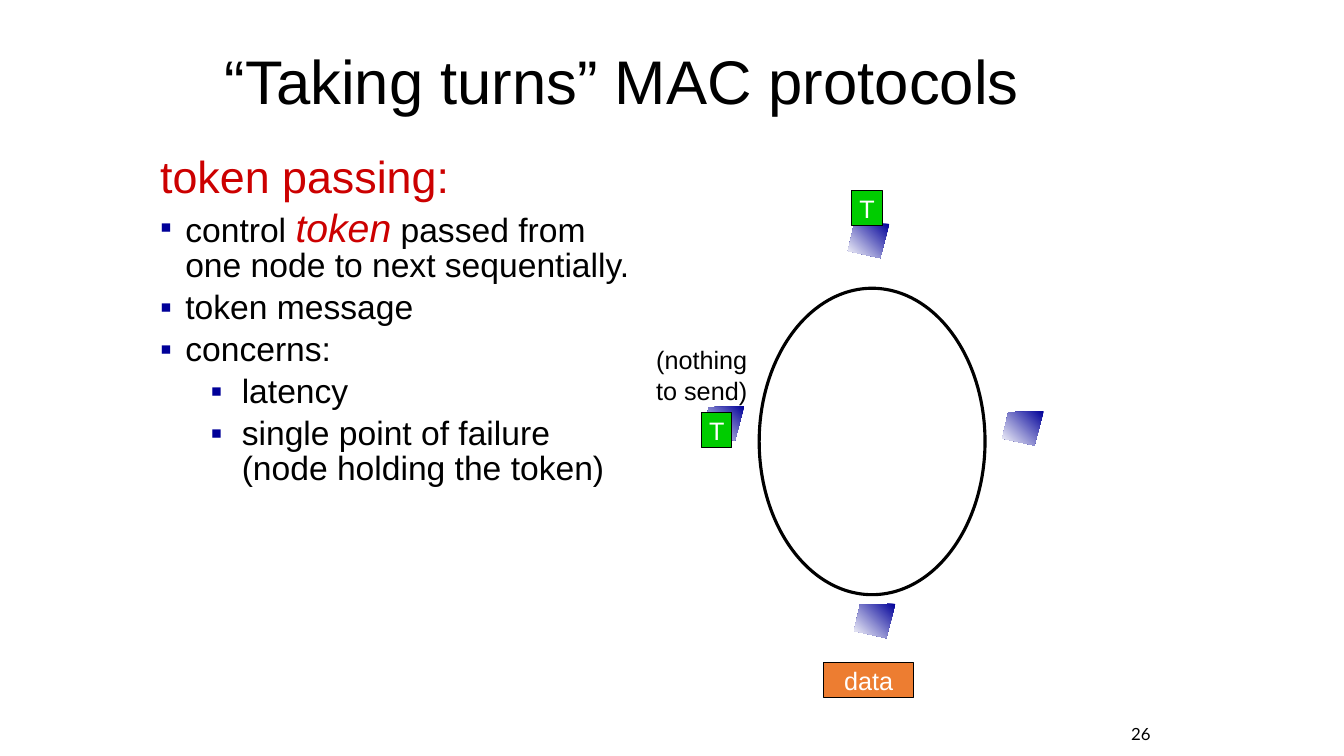
from lxml.etree import SubElement
from pptx import Presentation
from pptx.dml.color import RGBColor
from pptx.enum.shapes import MSO_SHAPE
from pptx.enum.text import MSO_ANCHOR, PP_ALIGN
from pptx.oxml.ns import qn
from pptx.util import Inches, Pt

BLACK = RGBColor(0, 0, 0)
WHITE = RGBColor(255, 255, 255)
RED = RGBColor(0xCC, 0, 0)
NAVY = RGBColor(0, 0, 0x99)
GREEN = RGBColor(0, 0xCC, 0)
ORANGE = RGBColor(0xED, 0x7D, 0x31)


def inches(*nums):
    """Turn numbers into lengths."""
    return [Inches(num) for num in nums]


def mark(para, left, hang):
    """Give a paragraph a navy square bullet and a hanging indent."""
    props = para._p.get_or_add_pPr()
    props.set("marL", str(Inches(left)))
    props.set("indent", str(-Inches(hang)))
    color = SubElement(props, qn("a:buClr"))
    SubElement(color, qn("a:srgbClr")).set("val", str(NAVY))
    SubElement(props, qn("a:buFont")).set("typeface", "Arial")
    SubElement(props, qn("a:buChar")).set("char", "▪")


def write(para, text, size=24, color=BLACK, font="Arial", italic=False, align=None):
    """Add a formatted run to a paragraph."""
    run = para.add_run()
    run.text = text
    run.font.name = font
    run.font.size = Pt(size)
    run.font.color.rgb = color
    run.font.italic = italic
    if align is not None:
        para.alignment = align


def frame(slide, box, anchor=MSO_ANCHOR.TOP, wrap=True):
    """Add an empty text box and return its frame."""
    body = slide.shapes.add_textbox(*inches(*box)).text_frame
    body.word_wrap = wrap
    body.vertical_anchor = anchor
    return body


def head(slide, box):
    """Place the slide title."""
    para = frame(slide, box, MSO_ANCHOR.MIDDLE).paragraphs[0]
    para.line_spacing = 0.9
    write(para, "“Taking turns” MAC protocols", size=44)


def points(slide, box):
    """Place the red heading and its bullets."""
    body = frame(slide, box)
    first = body.paragraphs[0]
    first.line_spacing = 0.85
    write(first, "token passing:", size=32, color=RED)
    items = [
        (0, [("control ", {}), ("token", dict(size=28, color=RED, italic=True)),
             (" passed from one node to next sequentially.", {})]),
        (0, [("token message", {})]),
        (0, [("concerns:", {})]),
        (1, [("latency", {})]),
        (1, [("single point of failure (node holding the token)", {})]),
    ]
    for level, runs in items:
        para = body.add_paragraph()
        para.level = level
        mark(para, *((0.81, 0.31) if level else (0.25, 0.25)))
        para.line_spacing = 0.85
        para.space_before = Pt(5.5)
        for text, style in runs:
            write(para, text, **style)


def node(slide, left, top):
    """Draw one tilted station with a fading fill."""
    pen = slide.shapes.build_freeform(*inches(left + 0.41, top), scale=1.0)
    corners = [(0.06, 0.01), (0, 0.27), (0.32, 0.34)]
    pen.add_line_segments([inches(left + x, top + y) for x, y in corners], close=True)
    shape = pen.convert_to_shape()
    shape.shadow.inherit = False
    shape.line.fill.background()
    shape.fill.gradient()
    shape.fill.gradient_angle = 225
    for stop, color, spot in zip(shape.fill.gradient_stops, (NAVY, WHITE), (0, 1)):
        stop.color.rgb = color
        stop.position = spot


def label(slide, text, box, color):
    """Draw a filled box with a white label."""
    shape = slide.shapes.add_shape(MSO_SHAPE.RECTANGLE, *inches(*box))
    shape.shadow.inherit = False
    shape.fill.solid()
    shape.fill.fore_color.rgb = color
    shape.line.color.rgb = BLACK
    shape.line.width = Pt(0.75)
    body = shape.text_frame
    body.word_wrap = False
    body.vertical_anchor = MSO_ANCHOR.MIDDLE
    write(body.paragraphs[0], text, size=18, color=WHITE, align=PP_ALIGN.CENTER)


def ring(slide, box):
    """Draw the token ring with its stations, tokens, data and note."""
    left, top, wide, high = box
    for x, y in [(2.41, 1.22), (-0.56, 1.17), (0.88, -0.64), (0.94, 3.13)]:
        node(slide, left + x, top + y)
    loop = slide.shapes.add_shape(MSO_SHAPE.OVAL, *inches(left, top, wide, high))
    loop.shadow.inherit = False
    loop.fill.background()
    loop.line.color.rgb = BLACK
    loop.line.width = Pt(2.25)
    for x, y in [(0.92, -0.97), (-0.57, 1.23)]:
        label(slide, "T", (left + x, top + y, 0.3, 0.35), GREEN)
    label(slide, "data", (left + 0.64, top + 3.71, 0.89, 0.35), ORANGE)
    note = frame(slide, (left - 1.12, top + 0.51, 1.1, 0.7), wrap=False)
    write(note.paragraphs[0], "(nothing", size=18)
    write(note.add_paragraph(), "to send)", size=18)


def foot(slide, box):
    """Place the page number."""
    para = frame(slide, box, MSO_ANCHOR.MIDDLE).paragraphs[0]
    write(para, "26", size=12, font="Lato", align=PP_ALIGN.RIGHT)


def main():
    """Build and save the slide."""
    deck = Presentation()
    deck.slide_width, deck.slide_height = inches(13.33, 7.5)
    slide = deck.slides.add_slide(deck.slide_layouts[6])
    points(slide, (1.49, 1.51, 4.94, 5.08))
    ring(slide, (7.53, 2.86, 2.24, 3.04))
    head(slide, (2.13, 0.21, 8.5, 1.25))
    foot(slide, (10.91, 7.13, 0.6, 0.3))
    deck.save("out.pptx")


if __name__ == "__main__":
    main()
